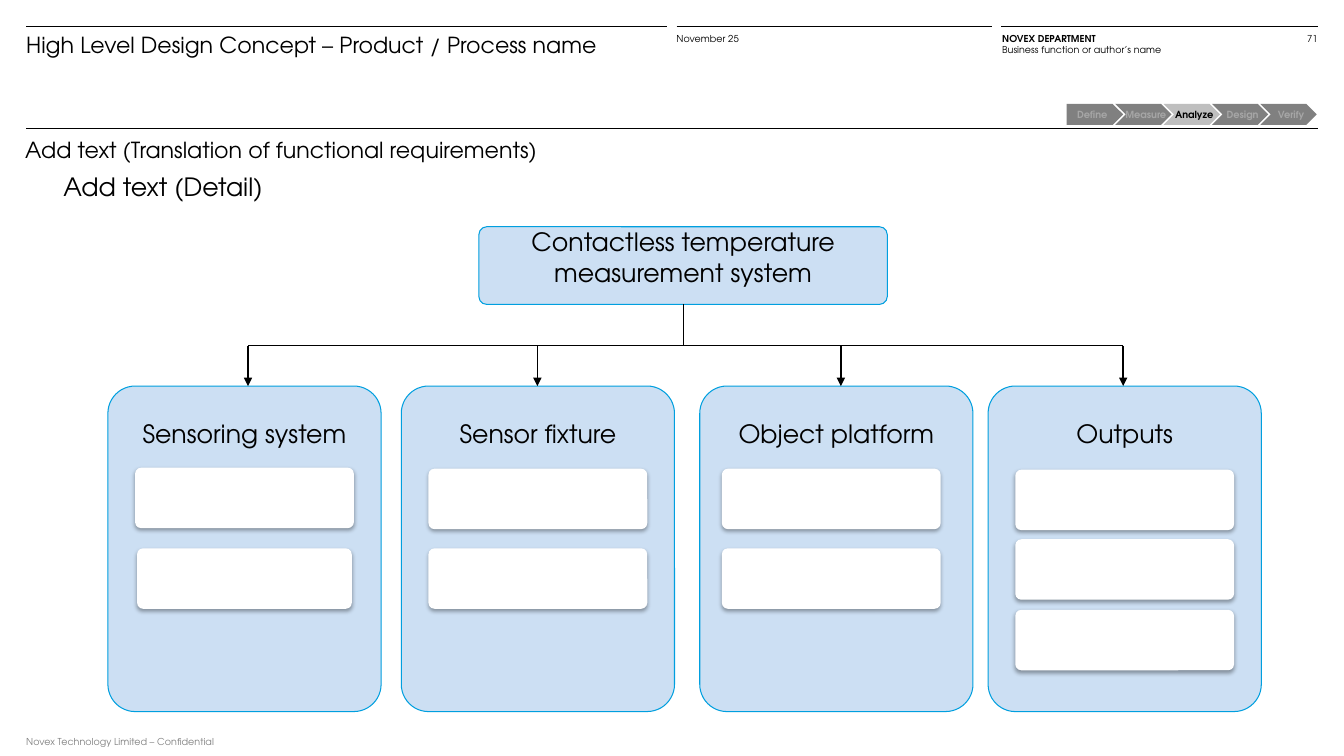
import lxml.etree
import pptx
import pptx.dml.color
import pptx.enum.shapes
import pptx.enum.text
import pptx.oxml.ns
import pptx.util

Inches = pptx.util.Inches
Pt = pptx.util.Pt
SHAPE = pptx.enum.shapes.MSO_SHAPE
ALIGN = pptx.enum.text.PP_ALIGN
ANCHOR = pptx.enum.text.MSO_ANCHOR
qn = pptx.oxml.ns.qn

BLACK, WHITE, GREY, PALE_GREY = "000000", "FFFFFF", "808080", "A6A6A6"
PALE_BLUE, BLUE = "CCDFF3", "009FDF"


def color(hex_value):
    return pptx.dml.color.RGBColor.from_string(hex_value)


def apply(target, values):
    for name, value in values.items():
        setattr(target, name, value)


class SlideBuilder:
    font_name = "TeX Gyre Adventor"

    def __init__(self, slide):
        self.slide = slide
        self.shapes = slide.shapes

    def fill_text(self, shape, lines, size, ink=BLACK, bold=(), align=ALIGN.LEFT,
                  anchor=ANCHOR.TOP, insets=(0, 0, 0, 0), spacing=1.0, wrap=True):
        """Fill a shape with paragraphs; bold lists the bold line numbers."""
        frame = shape.text_frame
        left, top, right, bottom = map(Inches, insets)
        apply(frame, {
            "margin_left": left, "margin_top": top,
            "margin_right": right, "margin_bottom": bottom,
            "vertical_anchor": anchor, "word_wrap": wrap,
            "auto_size": pptx.enum.text.MSO_AUTO_SIZE.NONE,
        })
        for number, line in enumerate(lines):
            paragraph = frame.paragraphs[0] if number == 0 else frame.add_paragraph()
            apply(paragraph, {"alignment": align, "line_spacing": spacing})
            run = paragraph.add_run()
            run.text = line
            apply(run.font, {"name": self.font_name, "size": Pt(size),
                             "bold": number in bold})
            run.font.color.rgb = color(ink)

    def title(self, box, text, size, **style):
        heading = self.shapes.title
        apply(heading, dict(zip(("left", "top", "width", "height"), map(Inches, box))))
        self.fill_text(heading, [text], size, **style)

    def text(self, box, lines, size, **style):
        self.fill_text(self.shapes.add_textbox(*map(Inches, box)), lines, size, **style)

    def shape(self, kind, box, fill, outline=None, shadow=False):
        shape = self.shapes.add_shape(kind, *map(Inches, box))
        shape.fill.solid()
        shape.fill.fore_color.rgb = color(fill)
        if outline:
            shape.line.color.rgb = color(outline)
            shape.line.width = Pt(0.75)
        else:
            shape.line.fill.background()
        shape.shadow.inherit = False
        if shadow:
            self.drop_shadow(shape)
        return shape

    def drop_shadow(self, shape):
        effects = shape.element.spPr.find(qn("a:effectLst"))
        outer = lxml.etree.SubElement(
            effects, qn("a:outerShdw"), blurRad=str(Pt(3.1)), dist=str(Pt(1.8)),
            dir="5400000", algn="t", rotWithShape="0")
        ink = lxml.etree.SubElement(outer, qn("a:srgbClr"), val=BLACK)
        lxml.etree.SubElement(ink, qn("a:alpha"), val="35000")

    def rounded(self, box, fill, outline=None, shadow=False):
        panel = self.shape(SHAPE.ROUNDED_RECTANGLE, box, fill, outline, shadow)
        panel.adjustments[0] = 0.1

    def line(self, start, end, width, arrow=False):
        line = self.shapes.add_connector(
            pptx.enum.shapes.MSO_CONNECTOR.STRAIGHT, *map(Inches, start + end))
        line.line.color.rgb = color(BLACK)
        line.line.width = Pt(width)
        properties = line.element.spPr
        if arrow:
            lxml.etree.SubElement(properties.find(qn("a:ln")), qn("a:tailEnd"),
                                  type="triangle")
        lxml.etree.SubElement(properties, qn("a:effectLst"))


def draw_header(page):
    for left, right, y in ((0.26, 6.62, 0.26), (6.71, 9.84, 0.26),
                           (9.93, 13.07, 0.26), (0.26, 13.07, 1.27)):
        page.line((left, y), (right, y), 0.5)

    small = {"size": 6.8, "spacing": Pt(7.9)}
    page.text((6.71, 0.33, 3.13, 0.22), ["November 25"], **small)
    page.text((9.94, 0.33, 2.05, 0.22),
              ["NOVEX DEPARTMENT", "Business function or author’s name"],
              bold=(0,), **small)
    page.text((12.09, 0.33, 0.98, 0.11), ["71"], 6.8, align=ALIGN.RIGHT)
    page.text((0.26, 7.31, 3.14, 0.11), ["Novex Technology Limited – Confidential"],
              ink=GREY, **small)

    heading = {"size": 15.8, "insets": (0, 0.04, 0.1, 0)}
    page.title((0.26, 0.27, 6.36, 0.62),
               "High Level Design Concept – Product / Process name", **heading)
    page.text((0.25, 1.31, 8.54, 0.62),
              ["Add text (Translation of functional requirements)"], **heading)
    page.text((0.53, 1.65, 5.07, 0.4), ["Add text (Detail)"], 18,
              insets=(0.1, 0.05, 0.1, 0.05))


def draw_phases(page):
    current = "Analyze"
    for step, phase in enumerate(("Define", "Measure", current, "Design", "Verify")):
        active = phase == current
        arrow = page.shape(SHAPE.CHEVRON if step else SHAPE.PENTAGON,
                           (10.58 + 0.48 * step, 1.03, 0.56, 0.21),
                           "BFBFBF" if active else GREY)
        page.fill_text(arrow, [phase], 7, ink=BLACK if active else PALE_GREY,
                       bold=(0,), align=ALIGN.CENTER, anchor=ANCHOR.MIDDLE,
                       wrap=False, insets=(0.05 if step else 0, 0, 0, 0))


def draw_breakdown(page):
    panel_top, panel_width, bus_y = 3.83, 2.71, 3.43
    # Subsystem, panel left, arrow x, component boxes (left, top, width)
    subsystems = (
        ("Sensoring system", 1.07, 2.46, ((1.34, 4.64, 2.17), (1.36, 5.44, 2.13))),
        ("Sensor fixture", 3.98, 5.33, ((4.25, 4.65, 2.17), (4.25, 5.44, 2.17))),
        ("Object platform", 6.94, 8.34, ((7.16, 4.65, 2.17), (7.16, 5.44, 2.17))),
        ("Outputs", 9.8, 11.14,
         ((10.07, 4.66, 2.17), (10.07, 5.35, 2.17), (10.07, 6.05, 2.17))),
    )

    # Subsystem panels with their components
    for name, left, arrow_x, components in subsystems:
        page.rounded((left, panel_top, panel_width, 3.23), PALE_BLUE, BLUE)
        page.text((left, panel_top, panel_width, 0.97), [name], 18,
                  align=ALIGN.CENTER, anchor=ANCHOR.MIDDLE, spacing=0.9,
                  insets=(0.07,) * 4)
        for component in components:
            page.rounded((*component, 0.6), WHITE, shadow=True)

    # Whole system
    page.rounded((4.75, 2.25, 4.05, 0.77), PALE_BLUE, BLUE)
    page.text((4.75, 2.25, 4.05, 0.23), ["Contactless temperature measurement system"],
              18, align=ALIGN.CENTER)

    # Branches from the system to each subsystem
    page.line((6.78, 3.02), (6.78, bus_y), 1)
    page.line((subsystems[0][2], bus_y), (subsystems[-1][2], bus_y), 1)
    for name, left, arrow_x, components in subsystems:
        page.line((arrow_x, bus_y), (arrow_x, panel_top), 1, arrow=True)


def main():
    deck = pptx.Presentation()
    apply(deck, {"slide_width": Inches(13.33), "slide_height": Inches(7.5)})
    page = SlideBuilder(deck.slides.add_slide(deck.slide_layouts[5]))
    draw_header(page)
    draw_phases(page)
    draw_breakdown(page)
    deck.save("out.pptx")


if __name__ == "__main__":
    main()
